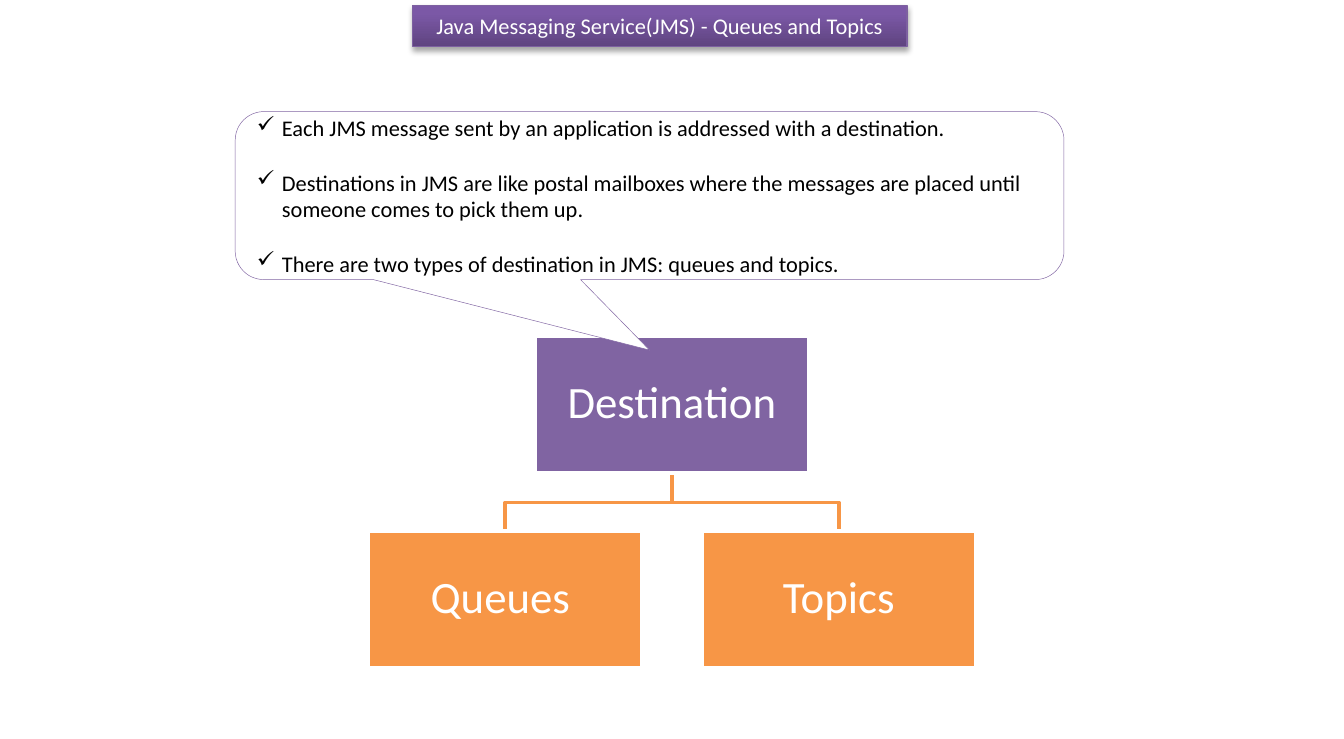
"""Builds a slide on JMS destinations: a titled callout above a small tree of queues and topics."""
from copy import deepcopy
from lxml import etree
from pptx import Presentation
from pptx.dml.color import RGBColor as RGB
from pptx.enum.shapes import MSO_SHAPE as SHAPE
from pptx.enum.text import MSO_ANCHOR as ANCHOR, MSO_AUTO_SIZE as AUTO, PP_ALIGN as ALIGN
from pptx.oxml import parse_xml
from pptx.oxml.ns import nsdecls, qn
from pptx.util import Pt

HUES = {"violet": "8064A2", "orange": "F79646", "white": "FFFFFF", "black": "000000",
        "deep": "5F4480", "mid": "7B58A6", "light": "7C57A8", "edge": "7D60A0"}


def hue(name):
    return RGB.from_string(HUES[name])


def write(para, text, size, color):
    run = para.add_run()
    run.text = text
    run.font.name, run.font.size = "Calibri", Pt(size)
    run.font.color.rgb = hue(color)


deck = Presentation()
deck.slide_width, deck.slide_height = Pt(720), Pt(396)
slide = deck.slides.add_slide(deck.slide_layouts[5])
shapes = slide.shapes

title = shapes.title
title.left, title.top, title.width, title.height = Pt(221), Pt(3), Pt(265), Pt(21.8)
title.fill.gradient()
title.fill.gradient_angle = 90
stops = title.fill.gradient_stops
for stop, name, spot in zip(stops, ("deep", "mid"), (0, 0.8)):
    stop.color.rgb, stop.position = hue(name), spot
ramp = title.element.spPr.find(".//" + qn("a:gsLst"))
ramp.append(deepcopy(ramp[-1]))
last = title.fill.gradient_stops[2]
last.color.rgb, last.position = hue("light"), 1
title.line.color.rgb, title.line.width = hue("edge"), Pt(0.75)
title.element.spPr.append(parse_xml(
    f'<a:effectLst {nsdecls("a")}><a:outerShdw blurRad="{Pt(3.1)}" dist="{Pt(1.8)}" dir="5400000" '
    'rotWithShape="0"><a:srgbClr val="000000"><a:alpha val="35000"/></a:srgbClr>'
    '</a:outerShdw></a:effectLst>'))
frame = title.text_frame
frame.auto_size, frame.vertical_anchor, frame.word_wrap = AUTO.NONE, ANCHOR.TOP, True
frame.paragraphs[0].alignment = ALIGN.CENTER
write(frame.paragraphs[0], "Java Messaging Service(JMS) - Queues and Topics", 12, "white")

wide, high, mid, step = 146.7, 73.4, 360, 89.3
top, low = 180, 284.4
for side in (1, -1):
    end = mid + side * step
    pen = shapes.build_freeform(Pt(mid), Pt(top + high))
    pen.add_line_segments([(Pt(mid), Pt(269.3)), (Pt(end), Pt(269.3)), (Pt(end), Pt(low))], close=False)
    branch = pen.convert_to_shape()
    branch.shadow.inherit = False
    branch.fill.background()
    branch.line.color.rgb, branch.line.width = hue("orange"), Pt(2)

for label, x, y, color in (("Destination", mid, top, "violet"),
                           ("Queues ", mid - step, low, "orange"),
                           ("Topics", mid + step, low, "orange")):
    box = shapes.add_shape(SHAPE.RECTANGLE, Pt(x - wide / 2), Pt(y), Pt(wide), Pt(high))
    box.shadow.inherit = False
    box.fill.solid()
    box.fill.fore_color.rgb = hue(color)
    box.line.color.rgb, box.line.width = hue("white"), Pt(2)
    frame = box.text_frame
    frame.margin_left = frame.margin_right = frame.margin_top = frame.margin_bottom = Pt(1.2)
    frame.vertical_anchor = ANCHOR.MIDDLE
    para = frame.paragraphs[0]
    para.alignment, para.line_spacing = ALIGN.CENTER, 0.9
    write(para, label, 24, "white")

note = shapes.add_shape(SHAPE.ROUNDED_RECTANGULAR_CALLOUT, Pt(126), Pt(59.8), Pt(444), Pt(90))
note.adjustments[0], note.adjustments[1], note.adjustments[2] = 0, 0.92, 0.17
note.shadow.inherit = False
note.fill.solid()
note.fill.fore_color.rgb = hue("white")
note.line.color.rgb, note.line.width = hue("violet"), Pt(0.25)
frame = note.text_frame
frame.word_wrap, frame.vertical_anchor = True, ANCHOR.MIDDLE
points = ("Each JMS message sent by an application is addressed with a destination.",
          "Destinations in JMS are like postal mailboxes where the messages are placed until "
          "someone comes to pick them up.",
          "There are two types of destination in JMS: queues and topics.")
for rank, point in enumerate(points):
    para = frame.add_paragraph() if rank else frame.paragraphs[0]
    props = para._p.get_or_add_pPr()
    props.set("marL", str(Pt(13.5)))
    props.set("indent", str(-Pt(13.5)))
    etree.SubElement(props, qn("a:buChar"), char="✓")
    para.alignment = ALIGN.LEFT
    if rank:
        para.space_before = Pt(14.6)
    write(para, point, 12, "black")

deck.save("out.pptx")
